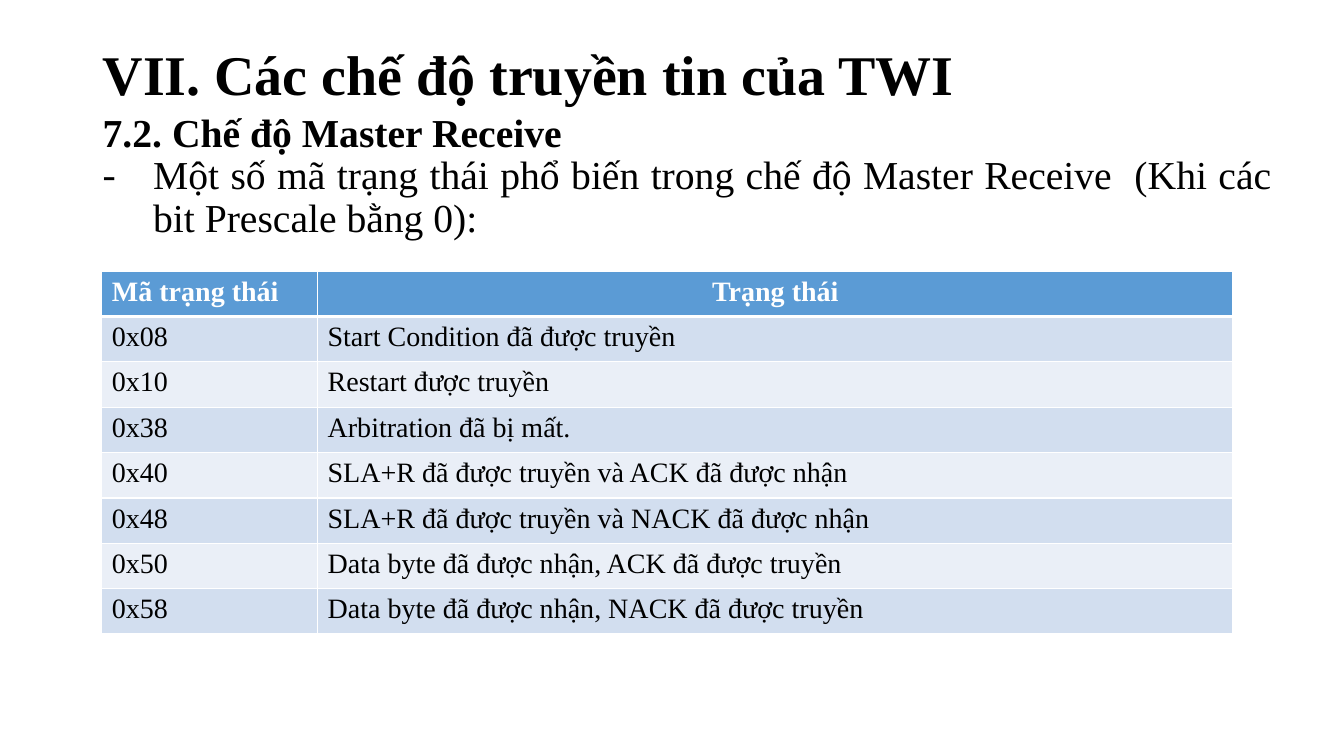
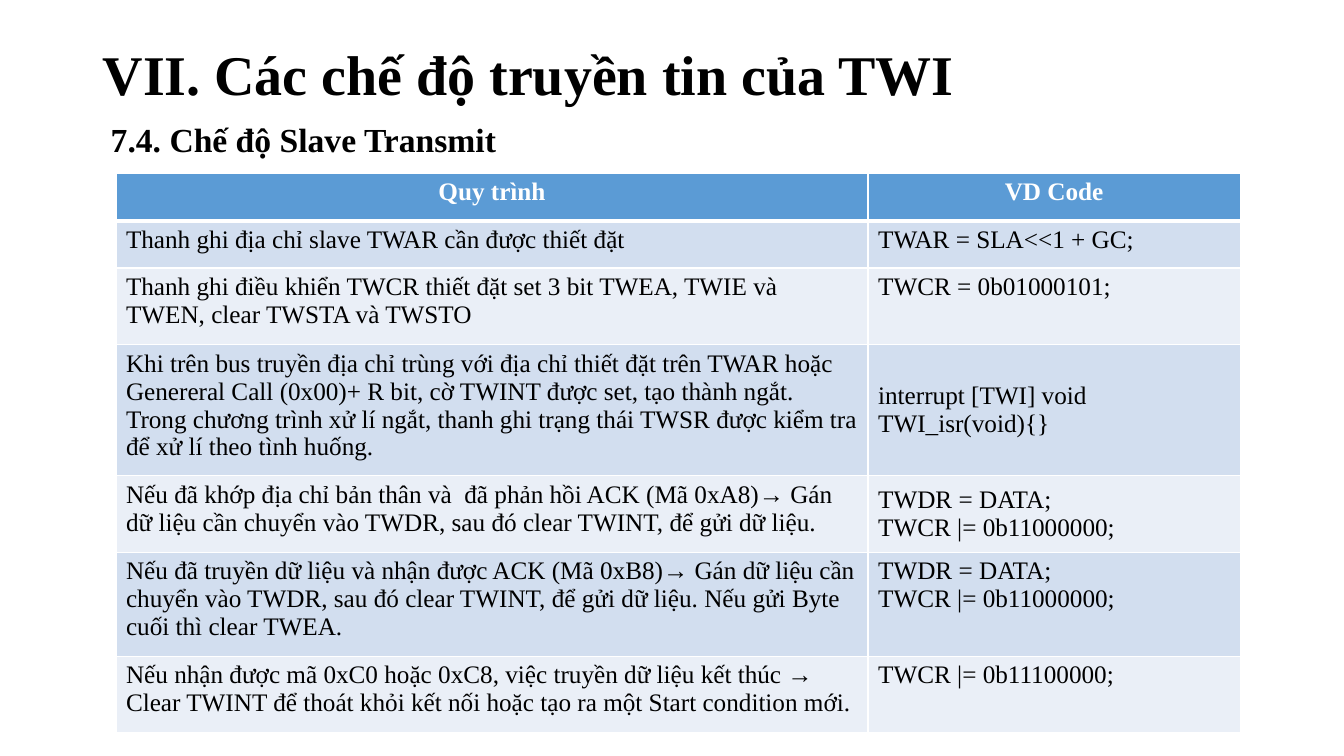
"""Build two slides on the transfer modes of TWI."""
from dataclasses import dataclass
from typing import Any

from lxml.etree import SubElement as Sub
from pptx import Presentation
from pptx.dml.color import RGBColor as Rgb
from pptx.enum.text import MSO_ANCHOR as Anchor, PP_ALIGN as Align
from pptx.oxml.ns import qn
from pptx.slide import Slide
from pptx.util import Inches, Pt


@dataclass(frozen=True)
class Theme:
    font: str = "Times New Roman"
    ink: str = "000000"
    white: str = "FFFFFF"
    head: str = "5B9BD5"
    bands: tuple[str, str] = ("D2DEEF", "EAEFF7")
    title: float = 40
    lead: float = 28.3
    sub: float = 24
    thin: float = 1
    thick: float = 3


@dataclass(frozen=True)
class Box:
    left: float
    top: float
    width: float
    height: float

    def emu(self) -> tuple[int, ...]:
        return tuple(Inches(n) for n in (self.left, self.top, self.width, self.height))


@dataclass(frozen=True)
class Line:
    text: str
    size: float
    bold: bool = True
    align: Align = Align.LEFT
    space: float = 0.9
    bullet: str = ""
    color: str = ""


@dataclass(frozen=True)
class Row:
    cells: tuple[str, str]
    height: float = 0.45
    mid: bool = False


@dataclass(frozen=True)
class Grid:
    box: Box
    cols: tuple[float, float]
    size: float
    heads: tuple[Align, Align]
    rows: tuple[Row, ...]


THEME = Theme()
TITLE = "VII. Các chế độ truyền tin của TWI"
DATA = "TWDR = DATA;\nTWCR |= 0b11000000;"

CODES = Grid(
    Box(1.01, 2.69, 11.22, 3.6), (2.14, 9.08), 20, (Align.LEFT, Align.CENTER),
    (
        Row(("Mã trạng thái", "Trạng thái")),
        Row(("0x08", "Start Condition đã được truyền")),
        Row(("0x10", "Restart được truyền")),
        Row(("0x38", "Arbitration đã bị mất.")),
        Row(("0x40", "SLA+R đã được truyền và ACK đã được nhận")),
        Row(("0x48", "SLA+R đã được truyền và NACK đã được nhận")),
        Row(("0x50", "Data byte đã được nhận, ACK đã được truyền")),
        Row(("0x58", "Data byte đã được nhận, NACK đã được truyền")),
    ),
)

STEPS = Grid(
    Box(1.15, 1.72, 11.15, 5.55), (7.46, 3.69), 18, (Align.CENTER, Align.CENTER),
    (
        Row(("Quy trình", "VD Code"), 0.47),
        Row(("Thanh ghi địa chỉ slave TWAR cần được thiết đặt",
             "TWAR = SLA<<1 + GC;"), 0.47),
        Row(("Thanh ghi điều khiển TWCR thiết đặt set 3 bit TWEA, TWIE và "
             "TWEN, clear TWSTA và TWSTO", "TWCR = 0b01000101;"), 0.76),
        Row(("Khi trên bus truyền địa chỉ trùng với địa chỉ thiết đặt trên TWAR "
             "hoặc Genereral Call (0x00)+ R bit, cờ TWINT được set, tạo thành "
             "ngắt. Trong chương trình xử lí ngắt, thanh ghi trạng thái TWSR "
             "được kiểm tra để xử lí theo tình huống.",
             "interrupt [TWI] void TWI_isr(void){}"), 1.3, True),
        Row(("Nếu đã khớp địa chỉ bản thân và  đã phản hồi ACK (Mã 0xA8)→ Gán "
             "dữ liệu cần chuyển vào TWDR, sau đó clear TWINT, để gửi dữ liệu.",
             DATA), 0.76, True),
        Row(("Nếu đã truyền dữ liệu và nhận được ACK (Mã 0xB8)→ Gán dữ liệu cần "
             "chuyển vào TWDR, sau đó clear TWINT, để gửi dữ liệu. Nếu gửi Byte "
             "cuối thì clear TWEA.", DATA), 1.03),
        Row(("Nếu nhận được mã 0xC0 hoặc 0xC8, việc truyền dữ liệu kết thúc → "
             "Clear TWINT để thoát khỏi kết nối hoặc tạo ra một Start condition "
             "mới.", "TWCR |= 0b11100000;"), 0.76),
    ),
)


def assign(item: Any, form: dict[str, Any]) -> None:
    """Set each format value on the item."""
    for name, value in form.items():
        setattr(item, name, value)


def write(frame: Any, lines: list[Line]) -> None:
    """Fill a text frame with one paragraph per line."""
    for i, line in enumerate(lines):
        para = frame.add_paragraph() if i else frame.paragraphs[0]
        assign(para, {"alignment": line.align, "line_spacing": line.space})
        if line.bullet:
            props = para._p.get_or_add_pPr()
            props.set("marL", str(Inches(0.5)))
            props.set("indent", str(Inches(-0.5)))
            Sub(props, qn("a:buFont"), typeface=THEME.font)
            Sub(props, qn("a:buChar"), char=line.bullet)
        run = para.add_run()
        run.text = line.text
        assign(run.font, {"name": THEME.font, "size": Pt(line.size), "bold": line.bold})
        run.font.color.rgb = Rgb.from_string(line.color or THEME.ink)


def label(slide: Slide, box: Box, lines: list[Line], **form: Any) -> None:
    """Add a wrapped text box."""
    frame = slide.shapes.add_textbox(*box.emu()).text_frame
    assign(frame, {"word_wrap": True, **form})
    write(frame, lines)


def edge(cell: Any, top: float, low: float) -> None:
    """Draw white borders round a cell."""
    props = cell._tc.get_or_add_tcPr()
    sides = {"L": THEME.thin, "R": THEME.thin, "T": top, "B": low}
    for side, width in sides.items():
        line = Sub(props, qn(f"a:ln{side}"), w=str(Pt(width)))
        Sub(Sub(line, qn("a:solidFill")), qn("a:srgbClr"), val=THEME.white)


def table(slide: Slide, grid: Grid) -> None:
    """Add a table with a head row and banded rows."""
    size = len(grid.rows), len(grid.cols)
    body = slide.shapes.add_table(*size, *grid.box.emu()).table
    for col, width in zip(body.columns, grid.cols):
        col.width = Inches(width)
    for r, row in enumerate(grid.rows):
        body.rows[r].height = Inches(row.height)
        head = r == 0
        back = THEME.head if head else THEME.bands[(r - 1) % 2]
        ink = THEME.white if head else THEME.ink
        for c, text in enumerate(row.cells):
            cell = body.cell(r, c)
            edge(cell, THEME.thick if r == 1 else THEME.thin,
                 THEME.thick if head else THEME.thin)
            cell.fill.solid()
            cell.fill.fore_color.rgb = Rgb.from_string(back)
            mid = row.mid and c == 1
            cell.vertical_anchor = Anchor.MIDDLE if mid else Anchor.TOP
            align = grid.heads[c] if head else Align.LEFT
            write(cell.text_frame, [Line(part, grid.size, head, align, 1.0, color=ink)
                                    for part in text.split("\n")])


def main() -> None:
    """Build and save the deck."""
    deck = Presentation()
    assign(deck, {"slide_width": Inches(13.33), "slide_height": Inches(7.5)})
    codes, steps = (deck.slides.add_slide(deck.slide_layouts[6]) for _ in range(2))
    for slide in (codes, steps):
        label(slide, Box(0.92, 0.4, 11.81, 0.73), [Line(TITLE, THEME.title)],
              vertical_anchor=Anchor.MIDDLE)
    label(codes, Box(0.92, 1.12, 11.81, 1.51), [
        Line("7.2. Chế độ Master Receive", THEME.lead, align=Align.JUSTIFY),
        Line("Một số mã trạng thái phổ biến trong chế độ Master Receive  "
             "(Khi các bit Prescale bằng 0):", THEME.lead, False, Align.JUSTIFY,
             bullet="-"),
    ], margin_top=0)
    table(codes, CODES)
    label(steps, Box(1, 1.13, 11.3, 0.5),
          [Line("7.4. Chế độ Slave Transmit", THEME.sub, space=1.0)])
    table(steps, STEPS)
    deck.save("out.pptx")


if __name__ == "__main__":
    main()
